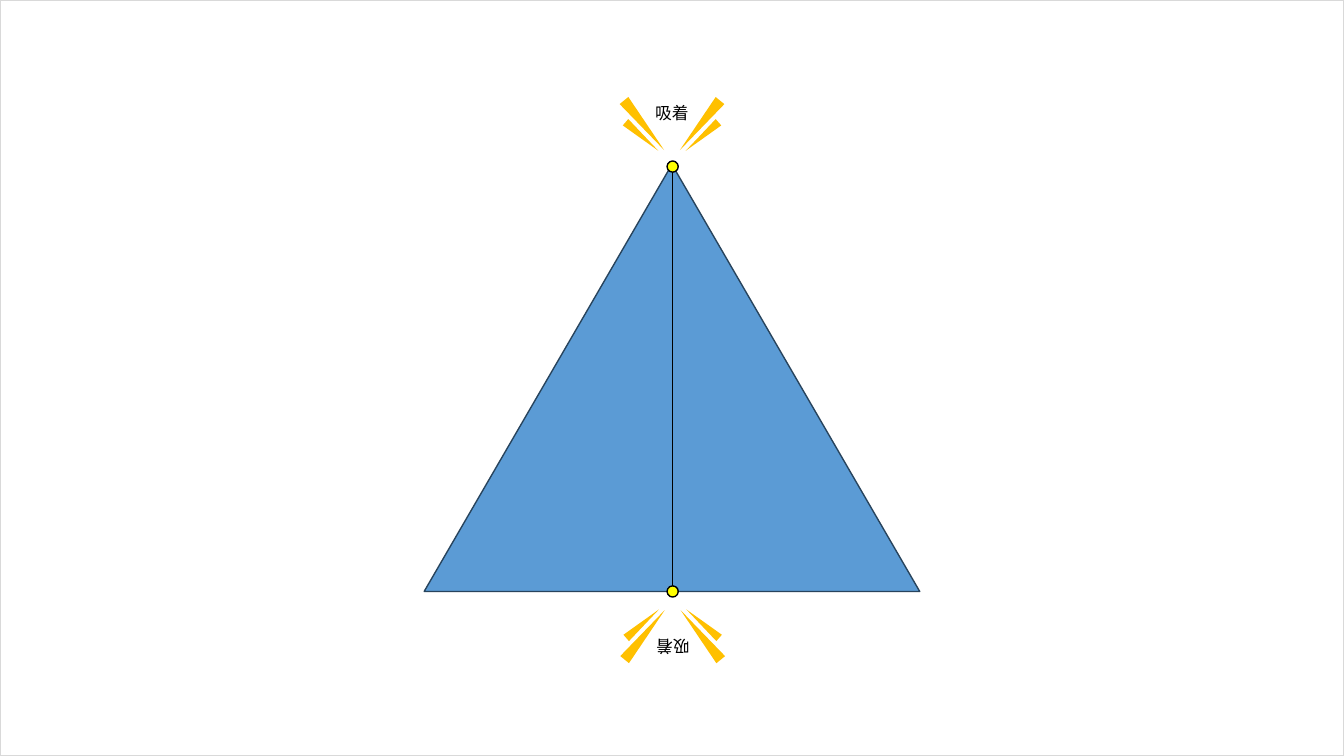
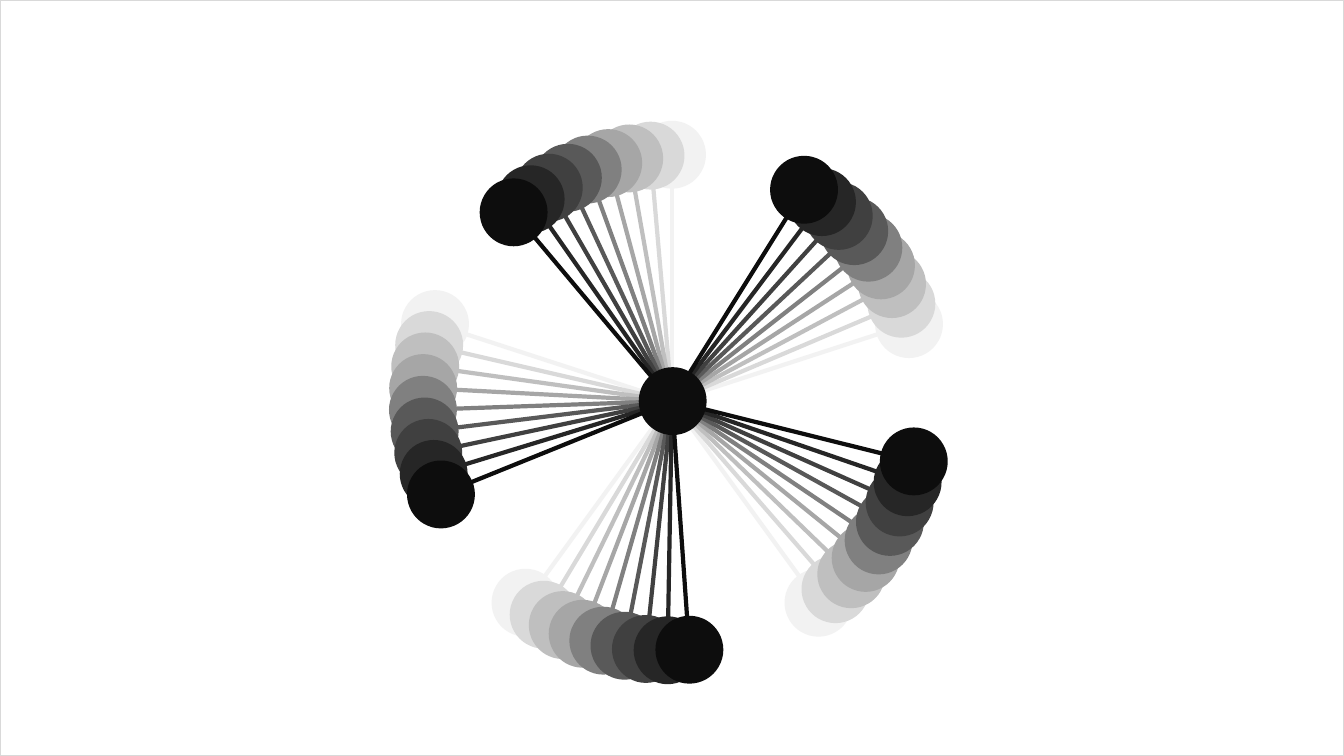
from math import cos, radians, sin

from lxml import etree
from pptx import Presentation
from pptx.dml.color import RGBColor
from pptx.enum.shapes import MSO_CONNECTOR, MSO_SHAPE
from pptx.enum.text import MSO_ANCHOR, MSO_AUTO_SIZE, PP_ALIGN
from pptx.oxml.ns import qn
from pptx.util import Emu, Pt

RECT, OVAL, TRIANGLE = MSO_SHAPE.RECTANGLE, MSO_SHAPE.OVAL, MSO_SHAPE.ISOSCELES_TRIANGLE
STRAIGHT = MSO_CONNECTOR.STRAIGHT
CENTER, MIDDLE, NO_FIT = PP_ALIGN.CENTER, MSO_ANCHOR.MIDDLE, MSO_AUTO_SIZE.NONE

PX = 6350  # EMU per px: 1920 x 1080 px is 13.33 x 7.5 inches
WIDTH, HEIGHT = 1920, 1080
FONT = "Noto Sans CJK JP"
FRAME, BLACK = "D9D9D9", "000000"
BLUE, NAVY, YELLOW, AMBER = "5B9BD5", "28445D", "FFFF00", "FFC000"
FADE = ["F2F2F2", "D9D9D9", "BFBFBF", "A6A6A6", "808080",
        "595959", "404040", "262626", "0D0D0D"]
SPOKES = [352, 356, 356, 356, 356]  # lengths, clockwise from the top
BALL = 91


def px(length):
    return Emu(round(length * PX))


def rgb(color):
    return RGBColor.from_string(color)


def set_line(line, color, width):
    line.color.rgb = rgb(color)
    line.width = Pt(width)


def add_shape(shapes, kind, box, fill=None, line=None, width=1, rotation=0):
    sp = shapes.add_shape(kind, *map(px, box))
    sp.shadow.inherit = False
    sp.rotation = rotation
    if fill:
        sp.fill.solid()
        sp.fill.fore_color.rgb = rgb(fill)
    else:
        sp.fill.background()
    if line:
        set_line(sp.line, line, width)
    else:
        sp.line.fill.background()
    return sp


def add_centered(shapes, kind, cx, cy, w, h, **style):
    return add_shape(shapes, kind, (cx - w / 2, cy - h / 2, w, h), **style)


def add_line(shapes, start, end, color, width):
    cxn = shapes.add_connector(STRAIGHT, *map(px, (*start, *end)))
    set_line(cxn.line, color, width)
    etree.SubElement(cxn._element.spPr, qn("a:effectLst"))


def add_label(shapes, cx, cy, text, rotation):
    w, h = 78, 44
    sp = shapes.add_textbox(*map(px, (cx - w / 2, cy - h / 2, w, h)))
    sp.rotation = rotation
    tf = sp.text_frame
    frame_format = {"word_wrap": False, "auto_size": NO_FIT, "vertical_anchor": MIDDLE}
    for name, value in frame_format.items():
        setattr(tf, name, value)
    p = tf.paragraphs[0]
    p.alignment = CENTER
    r = p.add_run()
    r.text = text
    for name, value in {"name": FONT, "size": Pt(12)}.items():
        setattr(r.font, name, value)
    r.font.color.rgb = rgb(BLACK)
    etree.SubElement(r._r.get_or_add_rPr(), qn("a:ea"), typeface=FONT)


def add_framed_slide(prs):
    s = prs.slides.add_slide(prs.slide_layouts[6])
    add_shape(s.shapes, RECT, (0, 0, WIDTH, HEIGHT), line=FRAME)
    return s


def add_burst(slide, cx, cy, rotation=0):
    """Label between two pairs of rays, centred on the label."""
    shapes = slide.shapes.add_group_shape().shapes
    add_label(shapes, cx, cy, "吸着", rotation)
    flip = -1 if rotation == 180 else 1
    # Offset from the label, ray size and tilt
    for dx, dy, w, h, tilt in [(40, 18, 16, 91, 39), (43, 34, 12, 62, 49)]:
        for side in (1, -1):
            add_centered(shapes, TRIANGLE, cx + flip * side * dx, cy + flip * dy, w, h,
                         fill=AMBER, rotation=(180 + side * tilt + rotation) % 360)


def add_folding_triangle(slide, x, y, w, h):
    """Triangle with its height line, and a contact point at each end."""
    shapes = slide.shapes
    cx, bottom = x + w / 2, y + h
    add_shape(shapes, TRIANGLE, (x, y, w, h), fill=BLUE, line=NAVY)
    add_line(shapes, (cx, y), (cx, bottom), BLACK, 0.5)
    for dot_y, burst_x, burst_y, rotation in [(y + 3, cx, y - 74, 0),
                                              (bottom, cx + 1, bottom + 80, 180)]:
        add_centered(shapes, OVAL, cx + 1, dot_y, 16, 16, fill=YELLOW, line=BLACK)
        add_burst(slide, burst_x, burst_y, rotation)


def add_ball(shapes, cx, cy, color):
    add_centered(shapes, OVAL, cx, cy, BALL, BALL, fill=color, line=color, width=3)


def add_spokes(slide, cx, cy, turn, color):
    """Evenly spread spokes, each ending in a ball."""
    shapes = slide.shapes.add_group_shape().shapes
    for i, length in enumerate(SPOKES):
        angle = radians(turn + 360 / len(SPOKES) * i)
        tip = (cx + length * sin(angle), cy - length * cos(angle))
        add_line(shapes, (cx, cy), tip, color, 3)
        add_ball(shapes, *tip, color)


def add_turning_wheel(slide, cx, cy):
    """Spokes turning five degrees a step, from light to dark, around one hub."""
    for step, color in enumerate(FADE):
        add_spokes(slide, cx, cy, -5 * step, color)
    add_ball(slide.shapes, cx + 1, cy, FADE[-1])


def main():
    prs = Presentation()
    prs.slide_width, prs.slide_height = px(WIDTH), px(HEIGHT)
    add_folding_triangle(add_framed_slide(prs), 606, 235, 708, 610)
    add_turning_wheel(add_framed_slide(prs), 960, 573)
    prs.save("out.pptx")


if __name__ == "__main__":
    main()
